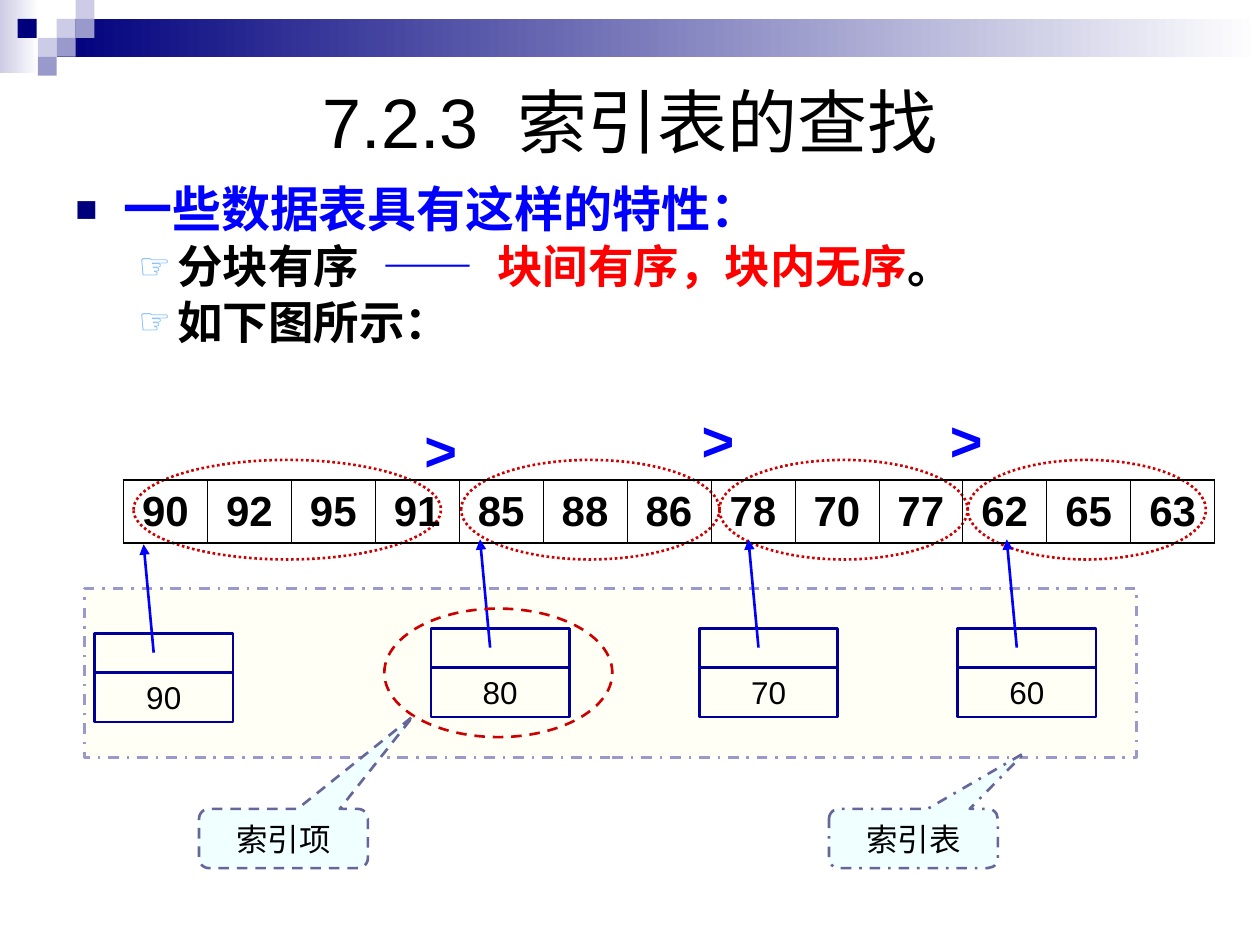
from lxml import etree
from pptx import Presentation, util as u
from pptx.dml.color import RGBColor
from pptx.enum import dml, shapes, text
from pptx.oxml import ns

Inches, Pt = u.Inches, u.Pt
SHAPE, DASH = shapes.MSO_SHAPE, dml.MSO_LINE
C = {"navy": "00007D", "lilac": "9999CC", "pale": "CCCCE6", "white": "FFFFFF",
     "black": "000000", "blue": "0000FF", "red": "FF0000", "ring": "CC0000",
     "box": "000099", "cream": "FFFFF5", "ice": "F0FFFF", "slate": "666699",
     "hand": "67AFFF"}

prs = Presentation()
prs.slide_width, prs.slide_height = Inches(10), Inches(7.5)
s = prs.slides.add_slide(prs.slide_layouts[6])


def add_box(kind, x, y, w, h, fill=None, line=None, dash=None):
    """Add a preset shape; no fill or line unless a colour is named."""
    sp = s.shapes.add_shape(kind, Inches(x), Inches(y), Inches(w), Inches(h))
    sp.shadow.inherit = False
    if fill:
        sp.fill.solid()
        sp.fill.fore_color.rgb = RGBColor.from_string(C[fill])
    else:
        sp.fill.background()
    if line:
        sp.line.color.rgb = RGBColor.from_string(C[line])
        sp.line.width = Pt(1.5)
        if dash:
            sp.line.dash_style = dash
    else:
        sp.line.fill.background()
    return sp


def write(p, size, parts, bold=False):
    """Append (text, colour) runs; a lone space is widened to double width."""
    for words, colour in parts:
        r = p.add_run()
        r.text = words
        r.font.size, r.font.bold, r.font.name = Pt(size), bold, "Arial"
        r.font.color.rgb = RGBColor.from_string(C[colour])
        rPr = r._r.get_or_add_rPr()
        etree.SubElement(rPr, ns.qn("a:ea"), typeface="Noto Sans CJK SC")
        if words == " ":
            rPr.set("spc", str(int(size * 28)))


# Header decoration
for x, y, w, h, colour in [(0, 0, 0.31, 0.58, "pale"), (0.45, 0.15, 9.55, 0.3, "navy")]:
    sp = add_box(SHAPE.RECTANGLE, x, y, w, h, colour)
    sp.fill.gradient()
    sp.fill.gradient_angle = 0
    for stop, name in zip(sp.fill.gradient_stops, (colour, "white")):
        stop.color.rgb = RGBColor.from_string(C[name])
for x, y, colour in [(0.45, 0.15, "pale"), (0.6, 0, "pale"), (0.6, 0.15, "lilac"),
                     (0.3, 0.3, "pale"), (0.14, 0.15, "navy"), (0.45, 0.3, "lilac"),
                     (0.3, 0.45, "lilac")]:
    add_box(SHAPE.RECTANGLE, x, y, 0.15, 0.15, colour)

# Title
tf = s.shapes.add_textbox(Inches(0.5), Inches(0.5), Inches(9), Inches(0.92)).text_frame
tf.word_wrap = True
tf.vertical_anchor = text.MSO_ANCHOR.MIDDLE
p = tf.paragraphs[0]
p.alignment = text.PP_ALIGN.CENTER
write(p, 40, [("7.2.3", "black"), (" ", "black"), ("索引表的查找", "black")])

# Bulleted body
tf = s.shapes.add_textbox(Inches(0.5), Inches(1.42), Inches(9), Inches(5.33)).text_frame
tf.word_wrap = True
top = (28, 0.38, 0.38, "■", "navy", 75)
sub = (26, 0.81, 0.31, "☞", "hand", 80)
body = [
    (top, [("一些数据表具有这样的特性：", "blue")]),
    (sub, [("分块有序", "black"), (" ", "black"), ("——", "blue"), (" ", "blue"),
           ("块间有序，块内无序", "red"), ("。", "black")]),
    (sub, [("如下图所示：", "black")]),
]
for i, ((size, left, hang, char, colour, pct), parts) in enumerate(body):
    p = tf.add_paragraph() if i else tf.paragraphs[0]
    pPr = p._p.get_or_add_pPr()
    pPr.set("marL", str(Inches(left)))
    pPr.set("indent", str(-Inches(hang)))
    clr = etree.SubElement(pPr, ns.qn("a:buClr"))
    etree.SubElement(clr, ns.qn("a:srgbClr"), val=C[colour])
    etree.SubElement(pPr, ns.qn("a:buSzPct"), val=str(pct * 1000))
    etree.SubElement(pPr, ns.qn("a:buFont"), typeface="Arial")
    etree.SubElement(pPr, ns.qn("a:buChar"), char=char)
    p.line_spacing = 0.9
    if i:
        p.space_before = Pt(3.8)
    write(p, size, parts, bold=True)

# Index table area and block rings
add_box(SHAPE.RECTANGLE, 0.67, 4.67, 8.35, 1.34, "cream", "lilac", DASH.DASH_DOT)
for x, w in [(1.06, 2.44), (3.66, 2.05), (5.71, 1.97), (7.68, 1.89)]:
    add_box(SHAPE.OVAL, x, 3.65, w, 0.79, None, "ring", DASH.ROUND_DOT)

# Data table
keys = [90, 92, 95, 91, 85, 88, 86, 78, 70, 77, 62, 65, 63]
tbl = s.shapes.add_table(1, len(keys), Inches(0.98), Inches(3.81),
                         Inches(8.66), Inches(0.5)).table
tbl.first_row = tbl.horz_banding = False
last = len(keys) - 1
for i, key in enumerate(keys):
    cell = tbl.cell(0, i)
    cell.margin_left = cell.margin_right = Inches(0.04)
    cell.vertical_anchor = text.MSO_ANCHOR.MIDDLE
    p = cell.text_frame.paragraphs[0]
    p.alignment = text.PP_ALIGN.CENTER
    write(p, 24, [(str(key), "black")], bold=True)
    tcPr = cell._tc.get_or_add_tcPr()
    for side, outer in [("L", i == 0), ("R", i == last), ("T", True), ("B", True)]:
        ln = etree.SubElement(tcPr, ns.qn("a:ln" + side), w=str(Pt(1.08 if outer else 0.45)))
        fill = etree.SubElement(ln, ns.qn("a:solidFill"))
        etree.SubElement(fill, ns.qn("a:srgbClr"), val=C["black"])
    cell.fill.background()

# Index entries: box, divider and pointer to the block's first cell
for x, y, key in [(0.75, 5.03, 90), (3.42, 4.99, 80), (5.55, 4.99, 70), (7.6, 4.99, 60)]:
    tf = add_box(SHAPE.RECTANGLE, x, y, 1.1, 0.7, None, "box").text_frame
    tf.vertical_anchor = text.MSO_ANCHOR.BOTTOM
    p = tf.paragraphs[0]
    p.alignment = text.PP_ALIGN.CENTER
    write(p, 18, [(str(key), "black")])
    for x1, y1, x2, y2, colour, arrow in [(0, 0.31, 1.1, 0.31, "box", False),
                                          (0.47, 0.15, 0.39, -0.71, "blue", True)]:
        cn = s.shapes.add_connector(shapes.MSO_CONNECTOR.STRAIGHT, Inches(x + x1),
                                    Inches(y + y1), Inches(x + x2), Inches(y + y2))
        cn.line.color.rgb = RGBColor.from_string(C[colour])
        cn.line.width = Pt(1.5)
        if arrow:
            etree.SubElement(cn.line._get_or_add_ln(), ns.qn("a:tailEnd"), type="triangle")
        etree.SubElement(cn._element.spPr, ns.qn("a:effectLst"))

# Callouts and the ring round one entry
add_box(SHAPE.OVAL, 3.05, 4.83, 1.81, 1.02, None, "ring", DASH.DASH)
for x, label, dash, tip in [(1.58, "索引项", DASH.DASH, (0.77, -2.07)),
                            (6.58, "索引表", DASH.DASH_DOT, (0.66, -1.45))]:
    sp = add_box(SHAPE.ROUNDED_RECTANGULAR_CALLOUT, x, 6.42, 1.34, 0.47, "ice", "slate", dash)
    sp.adjustments[0], sp.adjustments[1] = tip
    sp.text_frame.vertical_anchor = text.MSO_ANCHOR.MIDDLE
    p = sp.text_frame.paragraphs[0]
    p.alignment = text.PP_ALIGN.CENTER
    write(p, 18, [(label, "black")])

# Order signs between blocks
for x, y in [(3.27, 3.25), (5.47, 3.17), (7.44, 3.17)]:
    tf = s.shapes.add_textbox(Inches(x), Inches(y), Inches(0.47), Inches(0.64)).text_frame
    tf.word_wrap = True
    write(tf.paragraphs[0], 32, [(">", "blue")], bold=True)

prs.save("out.pptx")
